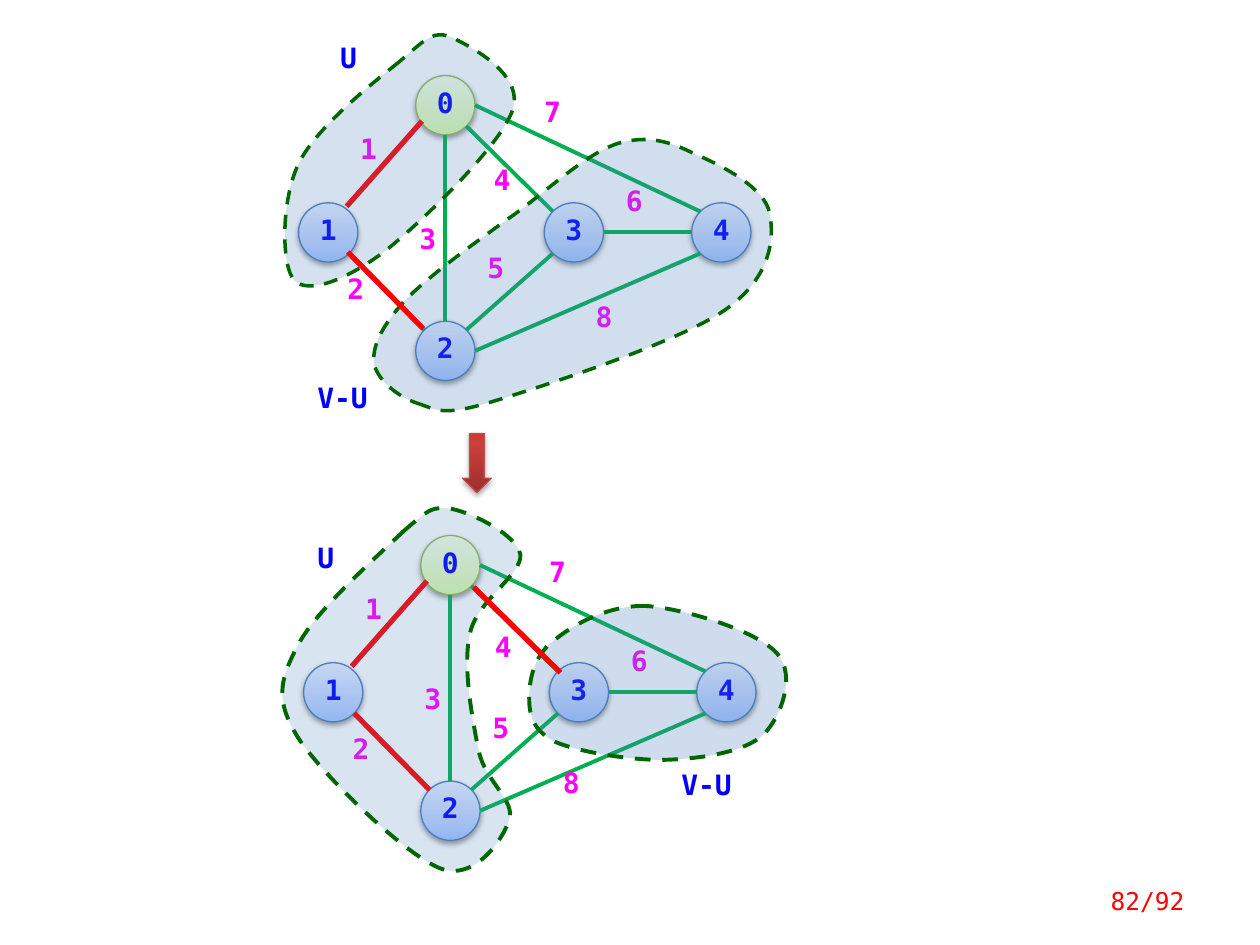
"""Build a slide showing one step of Prim's minimum spanning tree algorithm."""
from dataclasses import dataclass, field
from math import sqrt

from lxml.etree import SubElement
from pptx import Presentation
from pptx.dml.color import RGBColor
from pptx.enum.dml import MSO_LINE_DASH_STYLE as Dash
from pptx.enum.shapes import MSO_CONNECTOR as Connector, MSO_SHAPE as Shape
from pptx.enum.text import MSO_ANCHOR as Anchor, MSO_AUTO_SIZE as AutoSize, PP_ALIGN as Align
from pptx.oxml.ns import qn
from pptx.util import Inches, Pt

Point = tuple[float, float]
Stops = tuple[tuple[int, str], ...]


@dataclass(frozen=True)
class Paint:
    stops: Stops
    outline: str
    shadow_alpha: int
    shadow_distance: float


@dataclass(frozen=True)
class Theme:
    font: str = "DejaVu Sans Mono"
    label_size: float = 16
    page_size: float = 14
    name: str = "0000FF"
    weight: str = "FF00FF"
    edge: str = "00B050"
    chosen: str = "FF0000"
    region: str = "4F81BD"
    border: str = "006600"
    edge_width: float = 2.25
    chosen_width: float = 3
    root: Paint = Paint(((0, "DAFDA7"), (35, "E4FCC2"), (100, "F5FFE7")), "98B955", 38, 1.6)
    vertex: Paint = Paint(((0, "A4C4FF"), (35, "BFD4FF"), (100, "E6EEFF")), "4B7EBC", 38, 1.6)
    arrow: Paint = Paint(((0, "9C2F2D"), (80, "CB3E3A"), (100, "CE3B37")), "BF4C48", 35, 1.8)


@dataclass(frozen=True)
class Edge:
    start: str
    start_site: str
    end: str
    end_site: str
    label: Point
    shift: Point = (0, 0)


@dataclass(frozen=True)
class Region:
    name: str
    label: Point
    label_width: float
    opacity: int
    curve: tuple[Point, ...]


@dataclass(frozen=True)
class Stage:
    offset: Point
    tree: tuple[str, ...]
    pick: str
    pick_shift: Point
    border_width: float
    regions: tuple[Region, ...]
    moved_labels: dict[str, Point] = field(default_factory=dict)


THEME = Theme()
DIAMETER = 0.47
LABEL_HEIGHT = 0.32
DIAGONAL = 1 / sqrt(2)
SITES = {"N": (0, -1), "S": (0, 1), "W": (-1, 0), "E": (1, 0),
         "NW": (-DIAGONAL, -DIAGONAL), "NE": (DIAGONAL, -DIAGONAL),
         "SW": (-DIAGONAL, DIAGONAL), "SE": (DIAGONAL, DIAGONAL)}
VERTICES = {"0": (3.3, 0.6), "1": (2.37, 1.61), "2": (3.3, 2.55),
            "4": (5.49, 1.61), "3": (4.32, 1.61)}
EDGES = {
    "1": Edge("0", "SW", "1", "NE", (2.76, 1.05), (-0.02, -0.04)),
    "2": Edge("1", "SE", "2", "NW", (2.66, 2.16)),
    "3": Edge("0", "S", "2", "N", (3.23, 1.76)),
    "4": Edge("0", "SE", "3", "NW", (3.82, 1.29)),
    "5": Edge("3", "SW", "2", "NE", (3.77, 1.99)),
    "6": Edge("3", "E", "4", "W", (4.87, 1.46)),
    "7": Edge("0", "E", "4", "NW", (4.22, 0.75)),
    "8": Edge("2", "E", "4", "SW", (4.63, 2.38)),
}
STAGES = (
    Stage((0, 0), ("1",), "2", (-0.01, -0.01), 2, (
        Region("U", (2.6, 0.32), 0.39, 23, (
            (3.17, 0.49), (2.97, 0.65), (2.51, 1.01), (2.37, 1.3), (2.23, 1.59), (2.23, 2.12),
            (2.34, 2.23), (2.46, 2.34), (2.77, 2.21), (3.06, 1.99), (3.35, 1.76), (3.98, 1.15),
            (4.07, 0.87), (4.16, 0.59), (3.74, 0.37), (3.59, 0.3), (3.44, 0.23), (3.37, 0.32),
            (3.17, 0.49))),
        Region("V-U", (2.42, 3.02), 0.7, 26, (
            (3.31, 3.2), (3.47, 3.25), (3.5, 3.31), (3.9, 3.19), (4.3, 3.07), (5.37, 2.72),
            (5.74, 2.47), (6.11, 2.22), (6.15, 1.91), (6.11, 1.7), (6.08, 1.49), (5.72, 1.31),
            (5.51, 1.22), (5.31, 1.12), (5.14, 1.07), (4.9, 1.14), (4.66, 1.22), (4.38, 1.48),
            (4.1, 1.69), (3.82, 1.89), (3.4, 2.19), (3.21, 2.39), (3.03, 2.59), (2.95, 2.75),
            (2.97, 2.89), (3, 3.02), (3.16, 3.15), (3.31, 3.2))))),
    Stage((0.04, 3.65), ("1", "2"), "4", (0.02, 0.01), 2.25, (
        Region("U", (2.42, 4.29), 0.39, 21, (
            (3.21, 4.21), (3.01, 4.4), (2.5, 4.85), (2.36, 5.13), (2.22, 5.4), (2.18, 5.56),
            (2.37, 5.86), (2.56, 6.15), (3.21, 6.78), (3.49, 6.89), (3.76, 7), (3.99, 6.67),
            (4.04, 6.51), (4.1, 6.36), (3.85, 6.2), (3.8, 5.96), (3.75, 5.71), (3.67, 5.29),
            (3.73, 5.03), (3.78, 4.77), (4.15, 4.56), (4.13, 4.4), (4.1, 4.24), (3.74, 4.07),
            (3.59, 4.04), (3.43, 4.02), (3.42, 4.03), (3.21, 4.21))),
        Region("V-U", (5.31, 6.09), 0.7, 27, (
            (5.13, 4.81), (4.83, 4.8), (4.54, 4.96), (4.39, 5.09), (4.23, 5.21), (4.2, 5.41),
            (4.2, 5.54), (4.2, 5.68), (4.23, 5.8), (4.41, 5.89), (4.6, 5.97), (5.03, 6.04),
            (5.3, 6.03), (5.57, 6.02), (5.91, 5.97), (6.06, 5.83), (6.2, 5.69), (6.32, 5.36),
            (6.17, 5.19), (6.02, 5.01), (5.43, 4.83), (5.13, 4.81)))),
        {"4": (3.83, 5), "8": (4.37, 6.08)}),
)


def add(*points: Point) -> Point:
    """Sum points coordinate by coordinate."""
    return sum(p[0] for p in points), sum(p[1] for p in points)


def write(frame, text: str, color: str, size: float, bold: bool, align: Align) -> None:
    """Put one styled run into a text frame."""
    frame.word_wrap = True
    paragraph = frame.paragraphs[0]
    paragraph.alignment = align
    if bold:
        paragraph.line_spacing = 0.8
    run = paragraph.add_run()
    run.text = text
    run.font.name, run.font.size, run.font.bold = THEME.font, Pt(size), bold
    run.font.color.rgb = RGBColor.from_string(color)


def add_label(shapes, text: str, at: Point, width: float, color: str) -> None:
    """Draw a bold label that grows with its text."""
    box = shapes.add_textbox(*map(Inches, (*at, width, LABEL_HEIGHT)))
    write(box.text_frame, text, color, THEME.label_size, True, Align.LEFT)
    box.text_frame.auto_size = AutoSize.SHAPE_TO_FIT_TEXT


def add_painted(shapes, kind: Shape, at: Point, width: float, height: float, paint: Paint):
    """Draw a preset shape with an upward gradient and a soft shadow."""
    shape = shapes.add_shape(kind, *map(Inches, (*at, width, height)))
    shape.fill.gradient()
    shape.fill.gradient_angle = 90
    stop_list = shape.element.spPr.find(".//" + qn("a:gsLst"))
    stop_list[:] = []
    for position, color in paint.stops:
        stop = SubElement(stop_list, qn("a:gs"), pos=str(position * 1000))
        SubElement(stop, qn("a:srgbClr"), val=color)
    shape.line.color.rgb = RGBColor.from_string(paint.outline)
    shape.line.width = Pt(0.75)
    shape.shadow.inherit = False
    shadow = SubElement(shape.element.spPr.find(qn("a:effectLst")), qn("a:outerShdw"),
                        blurRad=str(Pt(3.1)), dist=str(Pt(paint.shadow_distance)),
                        dir="5400000", rotWithShape="0")
    black = SubElement(shadow, qn("a:srgbClr"), val="000000")
    SubElement(black, qn("a:alpha"), val=str(paint.shadow_alpha * 1000))
    return shape


def add_vertex(shapes, name: str, at: Point) -> None:
    """Draw a numbered vertex, the root in green."""
    paint = THEME.root if name == "0" else THEME.vertex
    frame = add_painted(shapes, Shape.OVAL, at, DIAMETER, DIAMETER, paint).text_frame
    frame.margin_left = frame.margin_right = frame.margin_top = frame.margin_bottom = 0
    frame.vertical_anchor = Anchor.MIDDLE
    write(frame, name, THEME.name, THEME.label_size, True, Align.CENTER)


def add_edge(shapes, edge: Edge, offset: Point, chosen: bool) -> None:
    """Draw an edge between the facing sites of two vertices."""
    ends = []
    for name, site in ((edge.start, edge.start_site), (edge.end, edge.end_site)):
        reach = [DIAMETER / 2 * (1 + part) for part in SITES[site]]
        ends += add(VERTICES[name], reach, edge.shift, offset)
    line = shapes.add_connector(Connector.STRAIGHT, *map(Inches, ends))
    line.line.color.rgb = RGBColor.from_string(THEME.chosen if chosen else THEME.edge)
    line.line.width = Pt(THEME.chosen_width if chosen else THEME.edge_width)
    SubElement(line.element.spPr, qn("a:effectLst"))


def add_region(shapes, region: Region, border_width: float) -> None:
    """Draw a translucent closed Bézier outline around a vertex set."""
    start, *others = [(Inches(x), Inches(y)) for x, y in region.curve]
    builder = shapes.build_freeform(*start)
    builder.add_line_segments(others, close=True)
    shape = builder.convert_to_shape()
    segments = list(shape.element.spPr.iter(qn("a:lnTo")))
    for first, *controls in zip(segments[::3], segments[1::3], segments[2::3]):
        first.tag = qn("a:cubicBezTo")
        for control in controls:
            first.append(control[0])
            control.getparent().remove(control)
    shape.fill.solid()
    shape.fill.fore_color.rgb = RGBColor.from_string(THEME.region)
    color = shape.element.spPr.find(qn("a:solidFill"))[0]
    SubElement(color, qn("a:alpha"), val=str(region.opacity * 1000))
    shape.line.color.rgb = RGBColor.from_string(THEME.border)
    shape.line.width = Pt(border_width)
    shape.line.dash_style = Dash.DASH
    shape.shadow.inherit = False


def add_stage(shapes, stage: Stage) -> None:
    """Draw the graph, its two vertex sets and the edge picked next."""
    graph = shapes.add_group_shape().shapes
    for name, at in VERTICES.items():
        add_vertex(graph, name, add(at, stage.offset))
    for weight, edge in EDGES.items():
        add_edge(graph, edge, stage.offset, weight in stage.tree)
    for weight, edge in EDGES.items():
        at = stage.moved_labels.get(weight, add(edge.label, stage.offset))
        add_label(graph, weight, at, DIAMETER, THEME.weight)
    sets = shapes.add_group_shape().shapes
    for region in stage.regions:
        add_label(sets, region.name, region.label, region.label_width, THEME.name)
        add_region(sets, region, stage.border_width)
    add_edge(shapes, EDGES[stage.pick], add(stage.offset, stage.pick_shift), True)


def main() -> None:
    """Build and save the slide."""
    deck = Presentation()
    deck.slide_width, deck.slide_height = Inches(10), Inches(7.5)
    shapes = deck.slides.add_slide(deck.slide_layouts[6]).shapes
    for stage in STAGES:
        add_stage(shapes, stage)
    add_painted(shapes, Shape.DOWN_ARROW, (3.67, 3.44), 0.23, 0.47, THEME.arrow)
    page = shapes.add_textbox(*map(Inches, (8.28, 6.95, 1.22, 0.4))).text_frame
    page.vertical_anchor = Anchor.MIDDLE
    write(page, "82/92", THEME.chosen, THEME.page_size, False, Align.RIGHT)
    deck.save("out.pptx")


if __name__ == "__main__":
    main()
